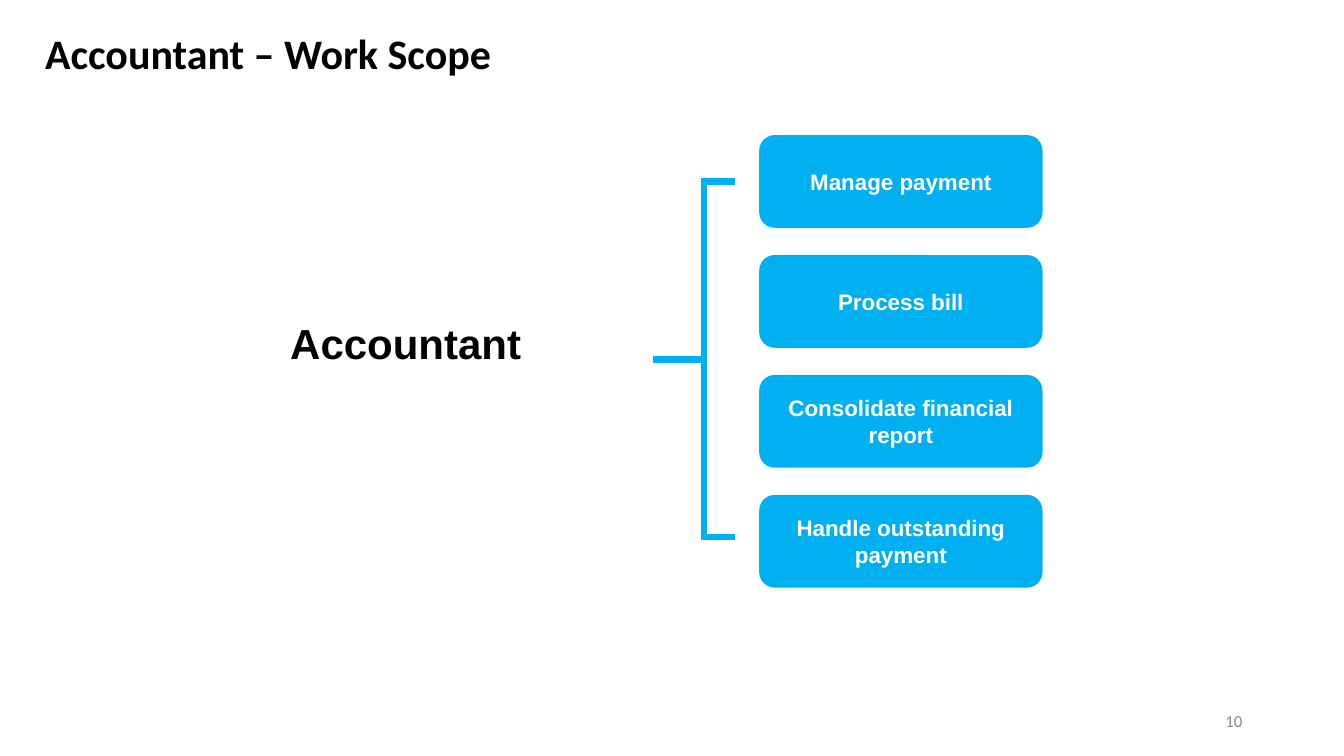
from pptx import Presentation
from pptx.dml.color import RGBColor
from pptx.enum.shapes import MSO_CONNECTOR, MSO_SHAPE
from pptx.enum.text import MSO_ANCHOR, MSO_AUTO_SIZE, PP_ALIGN
from pptx.oxml.ns import qn
from pptx.util import Inches, Pt
from lxml import etree

TITLE = "Accountant – Work Scope"
ROLE = "Accountant"
TASKS = [
    "Manage payment",
    "Process bill",
    "Consolidate financial report",
    "Handle outstanding payment",
]
PAGE = "10"

BLUE = RGBColor(0x00, 0xB0, 0xF0)
WHITE = RGBColor(0xFF, 0xFF, 0xFF)
BLACK = RGBColor(0x00, 0x00, 0x00)
GREY = RGBColor(0x8C, 0x8C, 0x8C)

LEFT, CENTER, RIGHT = PP_ALIGN.LEFT, PP_ALIGN.CENTER, PP_ALIGN.RIGHT
MIDDLE = MSO_ANCHOR.MIDDLE
GROW = MSO_AUTO_SIZE.SHAPE_TO_FIT_TEXT
ROUND = MSO_SHAPE.ROUNDED_RECTANGLE
STRAIGHT = MSO_CONNECTOR.STRAIGHT

# Task grid: one column, equal rows (inches)
COL, TOP = 7.53, 1.34
WIDE, HIGH = 2.81, 0.92
PITCH = 1.19

# Bracket: stem start, spine, tip of the arms
STEM, SPINE, TIP = 6.48, 6.98, 7.29
LINE = 4.5
HALF = LINE / 72 / 2
UPPER = TOP + HIGH / 2
LOWER = UPPER + 3.53
MID = (UPPER + LOWER) / 2


def write(shape, text, size, font, color, align, bold=True):
    para = shape.text_frame.paragraphs[0]
    para.text = text
    para.alignment = align
    face = para.font
    face.name, face.size, face.bold = font, Pt(size), bold
    face.color.rgb = color


def add_label(slide, box, text, font):
    label = slide.shapes.add_textbox(*map(Inches, box))
    label.text_frame.word_wrap = False
    label.text_frame.auto_size = GROW
    write(label, text, 30, font, BLACK, LEFT)


def add_task(slide, row, text):
    box = (COL, TOP + row * PITCH, WIDE, HIGH)
    card = slide.shapes.add_shape(ROUND, *map(Inches, box))
    card.shadow.inherit = False
    card.fill.solid()
    card.fill.fore_color.rgb = BLUE
    card.line.fill.background()
    card.text_frame.word_wrap = True
    card.text_frame.vertical_anchor = MIDDLE
    write(card, text, 16, "Arial", WHITE, CENTER)


def add_line(slide, *ends):
    line = slide.shapes.add_connector(STRAIGHT, *map(Inches, ends))
    line.line.color.rgb = BLUE
    line.line.width = Pt(LINE)
    etree.SubElement(line._element.spPr, qn("a:effectLst"))


def main():
    deck = Presentation()
    deck.slide_width, deck.slide_height = Inches(13.33), Inches(7.5)
    slide = deck.slides.add_slide(deck.slide_layouts[6])

    add_label(slide, (0.35, 0.22, 4.67, 0.61), TITLE, "Calibri")
    add_label(slide, (2.78, 3.1, 2.52, 0.61), ROLE, "Arial")

    for row, task in enumerate(TASKS):
        add_task(slide, row, task)

    add_line(slide, STEM, MID, SPINE - HALF, MID)
    for arm in (UPPER, LOWER):
        add_line(slide, SPINE - HALF, arm, TIP, arm)
    add_line(slide, SPINE, UPPER - HALF, SPINE, LOWER + HALF)

    page = slide.shapes.add_textbox(*map(Inches, (9.42, 6.95, 3, 0.4)))
    page.text_frame.word_wrap = True
    page.text_frame.vertical_anchor = MIDDLE
    write(page, PAGE, 12, "Calibri", GREY, RIGHT, bold=False)

    deck.save("out.pptx")


if __name__ == "__main__":
    main()
